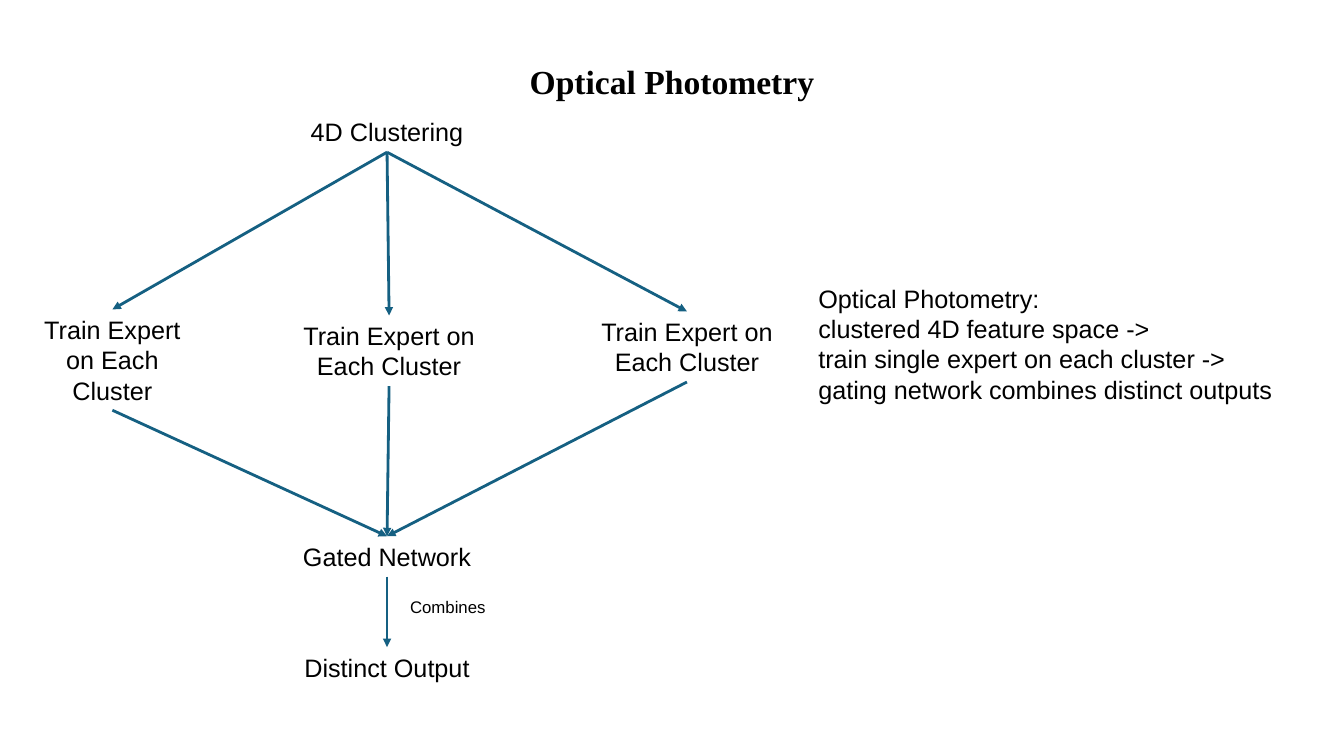
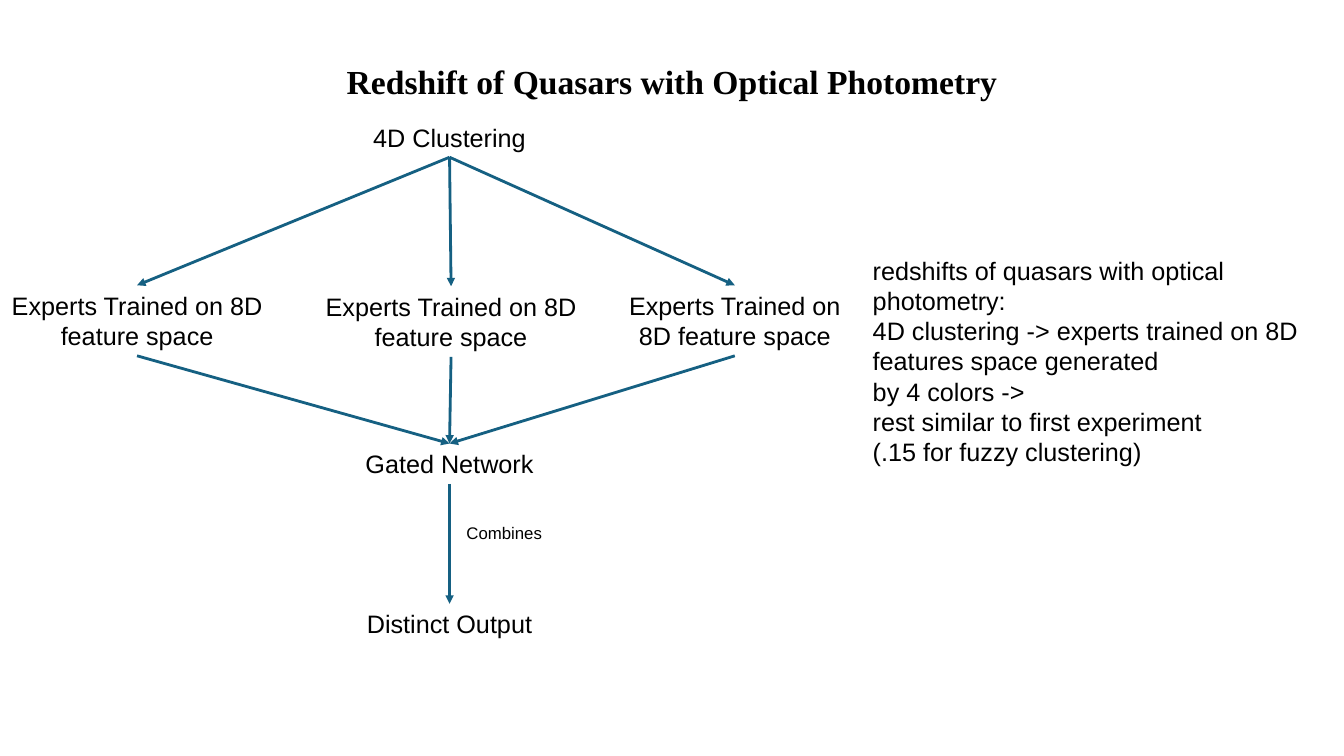
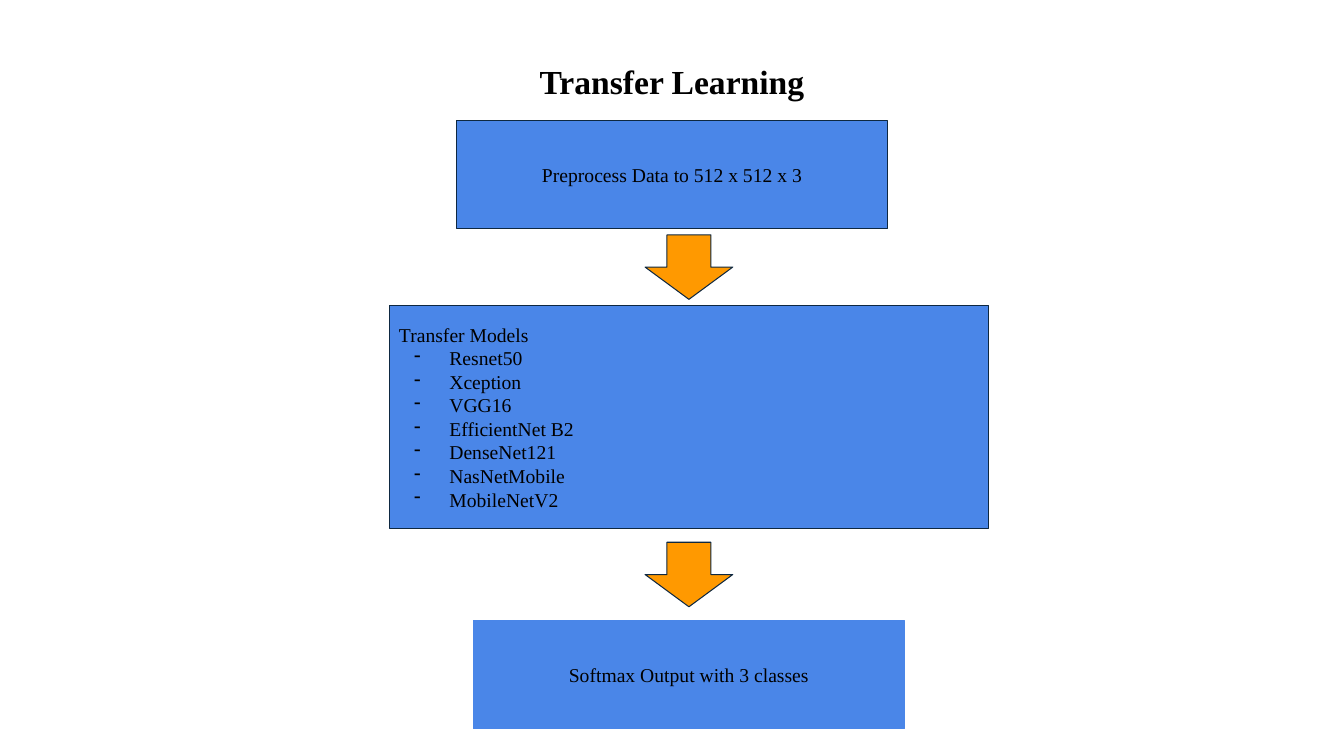
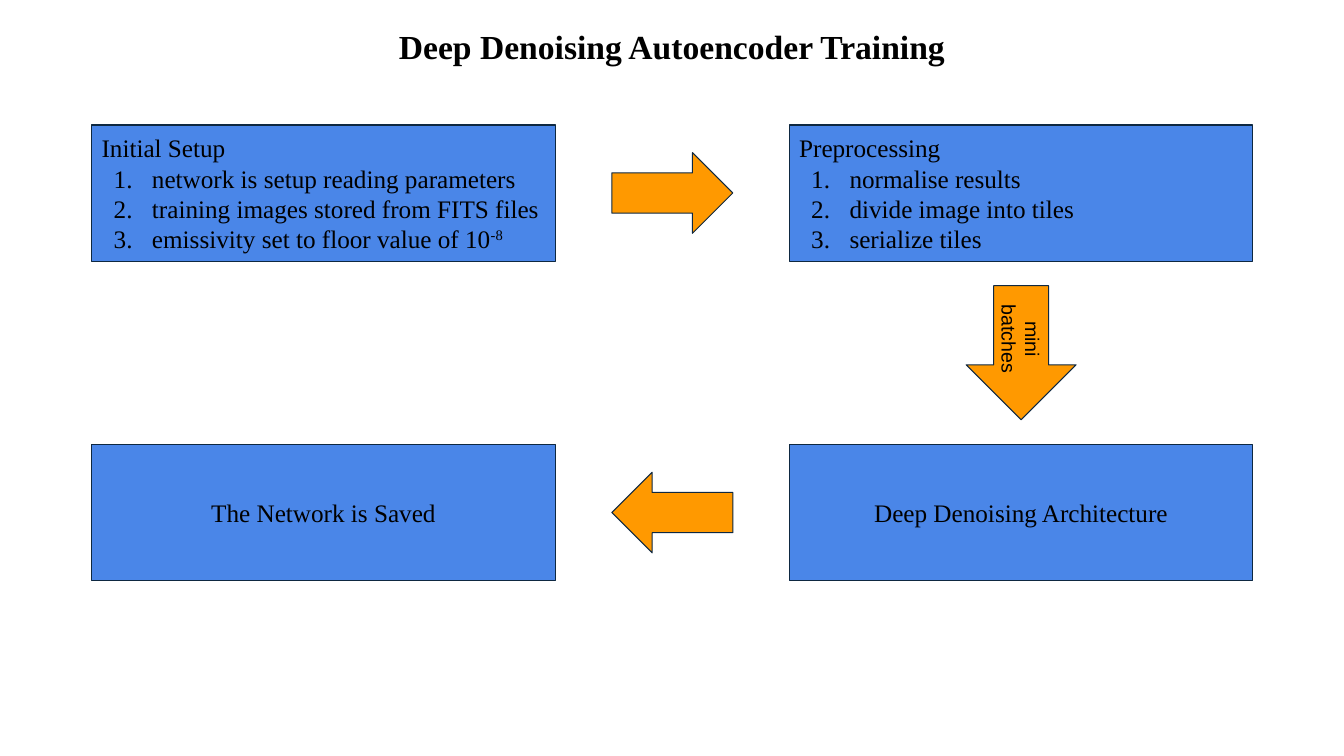
from pptx import Presentation as Deck
from pptx.enum.shapes import MSO_CONNECTOR as Link, MSO_SHAPE as Form
from pptx.enum.text import MSO_ANCHOR as Anchor, PP_ALIGN as Align
from pptx.dml.color import RGBColor as Color
from pptx.oxml.ns import qn
from pptx.util import Emu, Inches, Pt
from lxml.etree import SubElement as Sub

COLS, ROWS = 80, 45
CELL = Inches(1) / 6
BLACK, TEAL, NAVY, BLUE, GOLD = "000000", "156082", "0E2841", "4A86E8", "FF9900"
SANS, SERIF = "Arial", "Times New Roman"
HEAD = {"name": SERIF, "size": Pt(24), "bold": True}
BODY = {"name": SANS, "size": Pt(18)}
TAG = {"name": SANS, "size": Pt(12)}
CARD = {"name": SERIF, "size": Pt(18)}
SMALL = {"name": SERIF, "size": Pt(14)}
HINT = {"name": SANS, "size": Pt(14)}
DASH = ("a:buChar", {"char": "-"}, 0.35)
COUNT = ("a:buAutoNum", {"type": "arabicPeriod"}, 0.38)


def cells(*spans):
    return [Emu(round(span * CELL)) for span in spans]


def apply(item, form):
    for key, value in form.items():
        setattr(item, key, value)


def paint(fill, shade):
    fill.solid()
    fill.fore_color.rgb = Color.from_string(shade)


def height(count):
    return 0.6 + 1.8 * count


def add_mark(para, mark):
    tag, attrs, hang = mark
    props = para._p.get_or_add_pPr()
    props.set("marL", str(Inches(0.5)))
    props.set("indent", str(-Inches(hang)))
    tint = Sub(props, qn("a:buClr"))
    Sub(tint, qn("a:srgbClr"), val=BLACK)
    Sub(props, qn(tag), attrs)


def write(shape, lines, font, align=Align.LEFT, anchor=Anchor.TOP, mark=None, raised=""):
    frame = shape.text_frame
    apply(frame, {"word_wrap": True, "vertical_anchor": anchor})
    for spot, line in enumerate(lines):
        para = frame.add_paragraph() if spot else frame.paragraphs[0]
        para.alignment = align
        if mark and spot:
            add_mark(para, mark)
        para.add_run().text = line
    if raised:
        run = para.add_run()
        run.text = raised
        run.font._element.set("baseline", "30000")
    for para in frame.paragraphs:
        for run in para.runs:
            apply(run.font, font)
            paint(run.font.fill, BLACK)


def label(slide, box, lines, font=BODY, **form):
    write(slide.shapes.add_textbox(*cells(*box)), lines, font, **form)


def title(slide, text, mid=4.8):
    label(slide, (7, mid - 1.5, COLS - 14, 3), [text], HEAD,
          align=Align.CENTER, anchor=Anchor.MIDDLE)


def block(slide, box, fill=BLUE, edge=NAVY, kind=Form.RECTANGLE, turn=0):
    shape = slide.shapes.add_shape(kind, *cells(*box))
    shape.shadow.inherit = False
    paint(shape.fill, fill)
    paint(shape.line.fill, edge)
    shape.line.width = Pt(0.75)
    shape.rotation = turn
    apply(shape.text_frame, {"margin_top": Inches(0.1), "margin_bottom": Inches(0.1)})
    return shape


def card(slide, box, lines, font=CARD, edge=NAVY, mark=None, raised=""):
    align = Align.LEFT if mark else Align.CENTER
    write(block(slide, box, edge=edge), lines, font, align, Anchor.MIDDLE, mark, raised)


def arrow(slide, mid, size, kind=Form.RIGHT_ARROW, turn=0):
    (x, y), (wide, high) = mid, size
    return block(slide, (x - wide / 2, y - high / 2, wide, high), GOLD, kind=kind, turn=turn)


def edge(slide, start, end):
    line = slide.shapes.add_connector(Link.STRAIGHT, *cells(*start, *end))
    paint(line.line.fill, TEAL)
    line.line.width = Pt(2)
    Sub(line.line._get_or_add_ln(), qn("a:tailEnd"), type="triangle")
    Sub(line._element.spPr, qn("a:effectLst"))


def tree(slide, spot, hub, task, experts, gate, out, tag):
    left, top = spot
    mid, one = left + hub, height(1)
    stages = {"4D Clustering": top, "Gated Network": top + gate, "Distinct Output": top + out}
    for text, y in stages.items():
        label(slide, (mid - 10.38, y, 20.76, one), [text], align=Align.CENTER)
    for x, y, wide, count in experts:
        box = (left + x, top + y, wide, height(count))
        label(slide, box, [task], align=Align.CENTER)
        centre = left + x + wide / 2
        edge(slide, (mid, top + one), (centre, top + y))
        edge(slide, (centre, top + y + height(count)), (mid, top + gate))
    edge(slide, (mid, top + gate + one), (mid, top + out))
    label(slide, (left + tag[0], top + tag[1], 13.2, 1.8), ["Combines"], TAG)


def chain(slide, box):
    left, top, wide, high = box
    mid, step, tall = left + wide / 2, 25.68, 6.42
    card(slide, (mid - step / 2 - 1, top, step, tall),
         ["Preprocess Data to 512 x 512 x 3"], SMALL)
    card(slide, (left, top + 10.98, wide, 13.26),
         ["Transfer Models", "Resnet50", "Xception", "VGG16", "EfficientNet B2",
          "DenseNet121", "NasNetMobile", "MobileNetV2"], SMALL, mark=DASH)
    card(slide, (mid - step / 2, top + high - tall, step, tall),
         ["Softmax Output with 3 classes"], SMALL, edge=BLUE)
    for y in (8.7, 27):
        arrow(slide, (mid, top + y), (5.22, 3.84), Form.DOWN_ARROW)


def cycle(slide, box):
    left, top, wide, high = box
    span, tall = 27.6, 8.1
    right, low = left + wide - span, top + high - tall
    card(slide, (left, top, span, tall),
         ["Initial Setup", "network is setup reading parameters",
          "training images stored from FITS files",
          "emissivity set to floor value of 10"], mark=COUNT, raised="-8")
    card(slide, (right, top, span, tall),
         ["Preprocessing", "normalise results", "divide image into tiles",
          "serialize tiles"], mark=COUNT)
    card(slide, (right, low, span, tall), ["Deep Denoising Architecture"])
    card(slide, (left, low, span, tall), ["The Network is Saved"])
    for y, turn in ((top, 0), (low, 180)):
        arrow(slide, (left + wide / 2, y + tall / 2), (7.2, 4.8), turn=turn)
    down = arrow(slide, (right + span / 2, top + high / 2), (7.98, 6.54), turn=90)
    write(down, ["mini batches"], HINT, Align.CENTER, Anchor.MIDDLE)


def main():
    deck = Deck()
    deck.slide_width, deck.slide_height = cells(COLS, ROWS)
    first, second, third, fourth = [
        deck.slides.add_slide(deck.slide_layouts[6]) for _ in range(4)]

    title(first, "Optical Photometry")
    tree(first, (1.5, 6.66), 21.54, "Train Expert on Each Cluster",
         [(0, 11.76, 10.38, 3), (14.34, 12.12, 14.64, 2), (31.92, 11.88, 14.94, 2)],
         25.26, 31.86, (22.32, 28.56))
    label(first, (48.12, 16.56, 29.94, height(4)),
          ["Optical Photometry:", "clustered 4D feature space ->",
           "train single expert on each cluster ->",
           "gating network combines distinct outputs"])

    title(second, "Redshift of Quasars with Optical Photometry")
    tree(second, (0, 6.96), 26.76, "Experts Trained on 8D feature space",
         [(0, 10.02, 16.32, 2), (18.06, 10.08, 17.58, 2), (36.24, 10.02, 15, 2)],
         19.44, 28.98, (27.18, 23.88))
    label(second, (51.36, 14.88, 27.48, height(7)),
          ["redshifts of quasars with optical photometry:",
           "4D clustering -> experts trained on 8D features space generated",
           "by 4 colors ->", "rest similar to first experiment",
           "(.15 for fuzzy clustering)"])

    title(third, "Transfer Learning")
    chain(third, (23.16, 7.2, 35.7, 36.18))

    title(fourth, "Deep Denoising Autoencoder Training", 2.76)
    cycle(fourth, (5.46, 7.44, 69.12, 27.12))
    deck.save("out.pptx")


if __name__ == "__main__":
    main()
